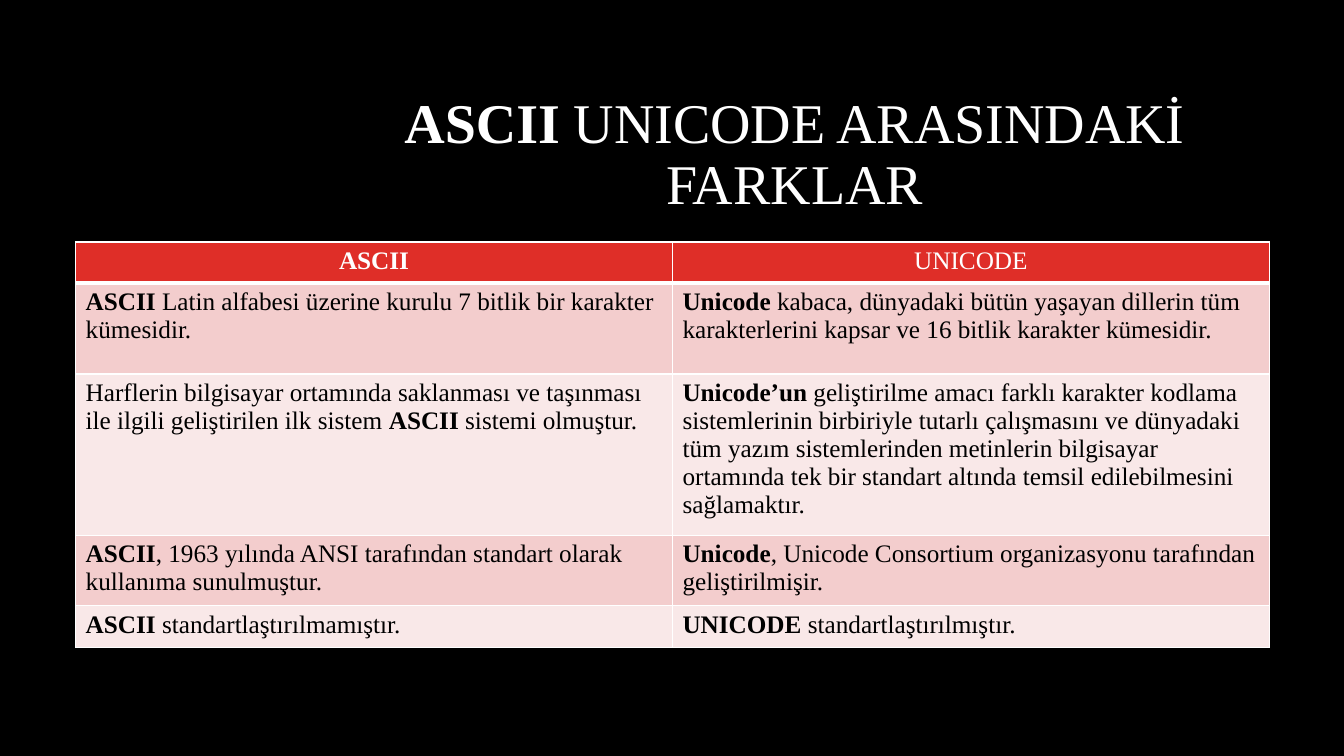
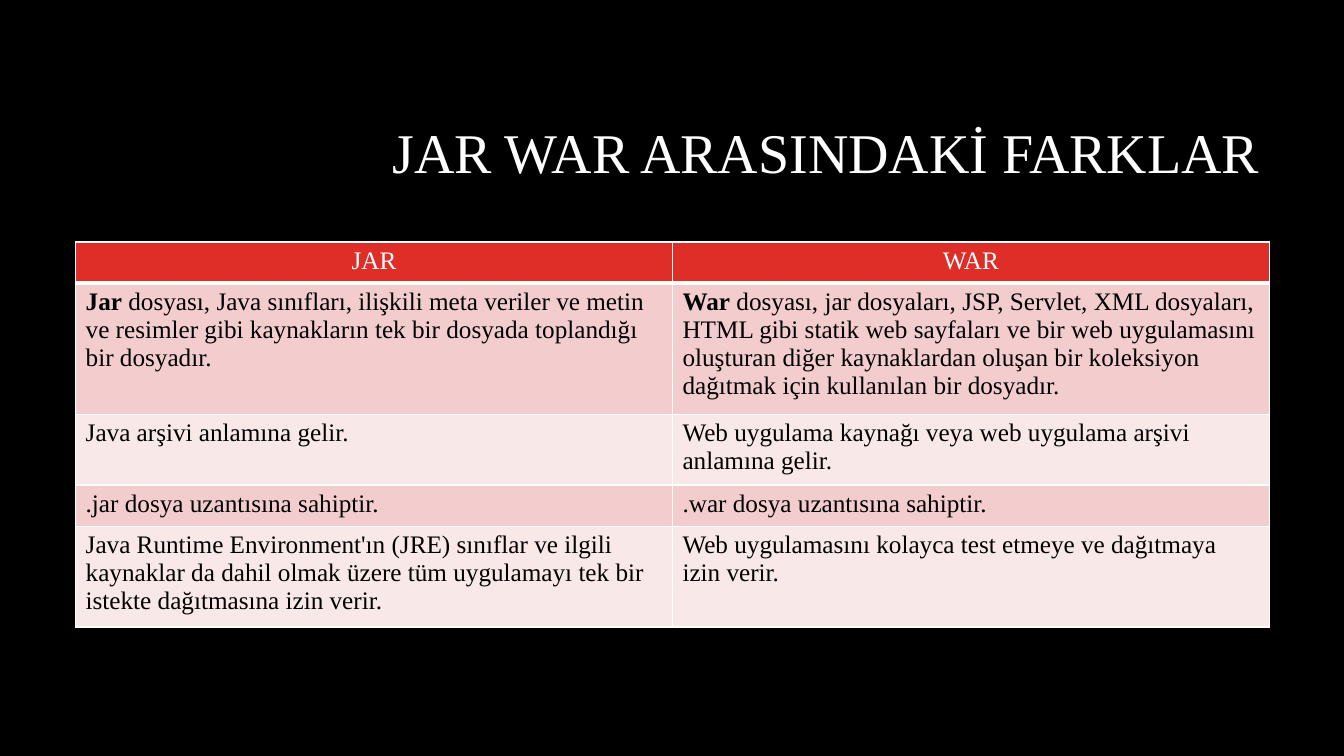
"""Builds two slides that compare ASCII with Unicode and JAR with WAR in tables."""
from lxml import etree
from pptx import Presentation
from pptx import util as u
from pptx.dml.color import RGBColor
from pptx.enum import text
from pptx.oxml.ns import qn

FONT = "Times New Roman"
BLACK, WHITE, RED = "000000", "FFFFFF", "DF2E28"
BANDS = ["F3CDCD", "F9E8E8"]
CENTER, RIGHT, LEFT = text.PP_ALIGN.CENTER, text.PP_ALIGN.RIGHT, text.PP_ALIGN.LEFT

COMPARISONS = [
    {
        "title": "**ASCII **UNICODE ARASINDAKİ FARKLAR",
        "title_align": CENTER,
        "heights": [0.41, 0.9, 1.48, 0.65, 0.41],
        "rows": [
            ("**ASCII**", "UNICODE"),
            ("**ASCII** Latin alfabesi üzerine kurulu 7 bitlik bir karakter kümesidir.",
             "**Unicode** kabaca, dünyadaki bütün yaşayan dillerin tüm karakterlerini kapsar "
             "ve 16 bitlik karakter kümesidir."),
            ("Harflerin bilgisayar ortamında saklanması ve taşınması ile ilgili geliştirilen "
             "ilk sistem **ASCII** sistemi olmuştur.",
             "**Unicode’un** geliştirilme amacı farklı karakter kodlama sistemlerinin "
             "birbiriyle tutarlı çalışmasını ve dünyadaki tüm yazım sistemlerinden metinlerin "
             "bilgisayar ortamında tek bir standart altında temsil edilebilmesini sağlamaktır."),
            ("**ASCII**, 1963 yılında ANSI tarafından standart olarak kullanıma sunulmuştur.",
             "**Unicode**, Unicode Consortium organizasyonu tarafından geliştirilmişir."),
            ("**ASCII** standartlaştırılmamıştır.", "**UNICODE** standartlaştırılmıştır."),
        ],
    },
    {
        "title": "JAR WAR ARASINDAKİ FARKLAR",
        "title_align": RIGHT,
        "heights": [0.41, 1.21, 0.65, 0.41, 0.93],
        "rows": [
            ("JAR", "WAR"),
            ("**Jar** dosyası, Java sınıfları, ilişkili meta veriler ve metin ve resimler gibi "
             "kaynakların tek bir dosyada toplandığı bir dosyadır.",
             "**War** dosyası, jar dosyaları, JSP, Servlet, XML dosyaları, HTML gibi statik web "
             "sayfaları ve bir web uygulamasını oluşturan diğer kaynaklardan oluşan bir "
             "koleksiyon dağıtmak için kullanılan bir dosyadır."),
            ("Java arşivi anlamına gelir.",
             "Web uygulama kaynağı veya web uygulama arşivi anlamına gelir."),
            (".jar dosya uzantısına sahiptir.", ".war dosya uzantısına sahiptir."),
            ("Java Runtime Environment'ın (JRE) sınıflar ve ilgili kaynaklar da dahil olmak "
             "üzere tüm uygulamayı tek bir istekte dağıtmasına izin verir.",
             "Web uygulamasını kolayca test etmeye ve dağıtmaya izin verir."),
        ],
    },
]


def rgb(value):
    return RGBColor.from_string(value)


def write(paragraph, marked, size, color, align):
    """Write text in which pairs of ** enclose the bold parts."""
    paragraph.alignment = align
    for index, part in enumerate(marked.split("**")):
        if part:
            run = paragraph.add_run()
            run.text = part
            run.font.name = FONT
            run.font.size = u.Pt(size)
            run.font.bold = index % 2 == 1
            run.font.color.rgb = rgb(color)


deck = Presentation()
deck.slide_width, deck.slide_height = u.Inches(13.33), u.Inches(7.5)

for comparison in COMPARISONS:
    slide = deck.slides.add_slide(deck.slide_layouts[6])
    slide.background.fill.solid()
    slide.background.fill.fore_color.rgb = rgb(BLACK)

    title = slide.shapes.add_textbox(
        u.Inches(3.17), u.Inches(0.84), u.Inches(9.42), u.Inches(1.41)).text_frame
    title.word_wrap = True
    title.vertical_anchor = text.MSO_ANCHOR.MIDDLE
    title.paragraphs[0].line_spacing = 0.9
    write(title.paragraphs[0], comparison["title"], 40, WHITE, comparison["title_align"])

    rows, heights = comparison["rows"], comparison["heights"]
    differences = slide.shapes.add_table(
        len(rows), 2, u.Inches(0.75), u.Inches(2.4),
        u.Inches(11.84), u.Inches(sum(heights))).table
    for column in differences.columns:
        column.width = u.Inches(5.92)

    for row_index, (entries, height) in enumerate(zip(rows, heights)):
        differences.rows[row_index].height = u.Inches(height)
        header = row_index == 0
        for column_index, entry in enumerate(entries):
            cell = differences.cell(row_index, column_index)
            properties = cell._tc.get_or_add_tcPr()
            for side in ("lnL", "lnR", "lnT", "lnB"):
                width = u.Pt(3 if header and side == "lnB" else 1)
                border = etree.SubElement(properties, qn(f"a:{side}"), w=str(width))
                line_fill = etree.SubElement(border, qn("a:solidFill"))
                etree.SubElement(line_fill, qn("a:srgbClr"), val=WHITE)
            cell.fill.solid()
            cell.fill.fore_color.rgb = rgb(RED if header else BANDS[(row_index - 1) % 2])
            write(cell.text_frame.paragraphs[0], entry, 18,
                  WHITE if header else BLACK, CENTER if header else LEFT)

deck.save("out.pptx")
